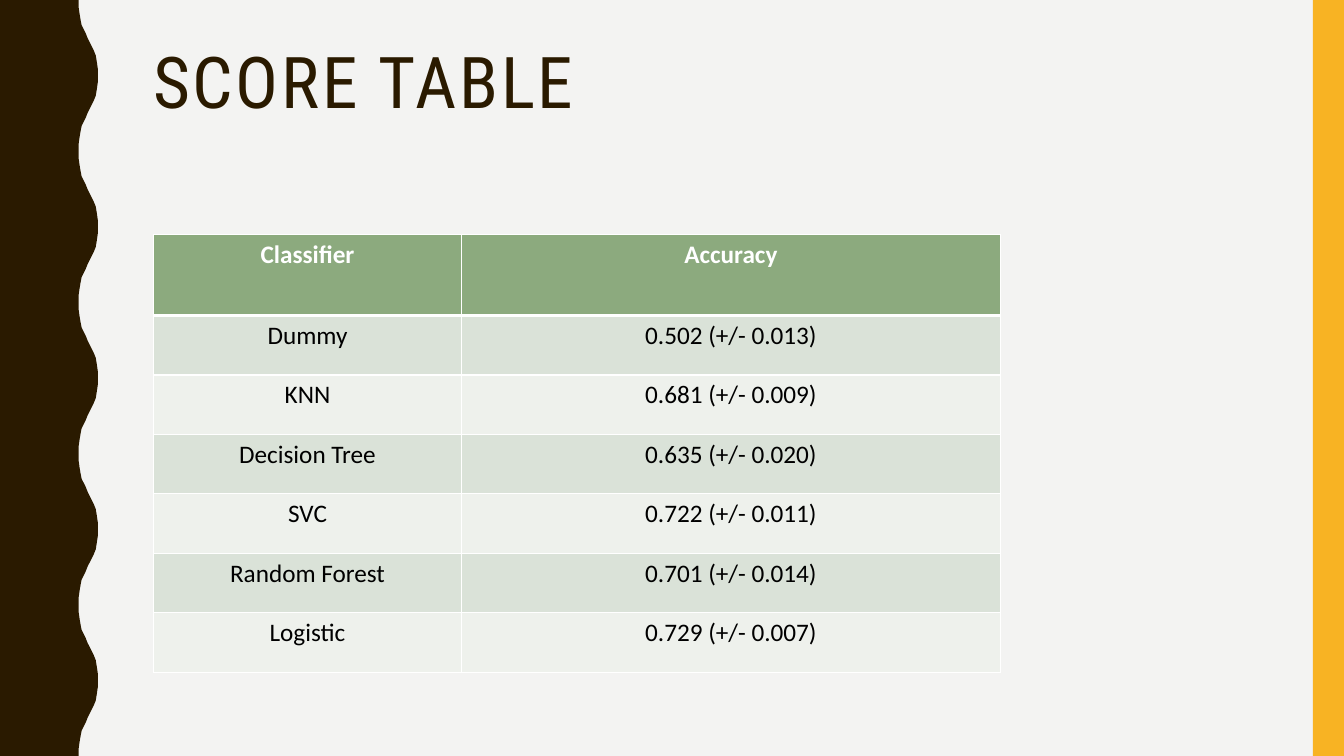
from dataclasses import dataclass

import pptx
import pptx.dml.color
import pptx.enum.shapes
import pptx.enum.text
import pptx.oxml
import pptx.oxml.ns
import pptx.shapes.autoshape
import pptx.slide
import pptx.table
import pptx.text.text
import pptx.util

Inches = pptx.util.Inches
RGBColor = pptx.dml.color.RGBColor
Align = pptx.enum.text.PP_ALIGN

PAPER = RGBColor(0xF3, 0xF3, 0xF2)
BROWN = RGBColor(0x2A, 0x1A, 0x00)
GOLD = RGBColor(0xF8, 0xB3, 0x23)
GREEN = RGBColor(0x8C, 0xAA, 0x7E)
SAGE = RGBColor(0xDA, 0xE2, 0xD8)
PALE = RGBColor(0xEE, 0xF1, 0xEC)
WHITE = RGBColor(0xFF, 0xFF, 0xFF)
BLACK = RGBColor(0x00, 0x00, 0x00)

WIDTH, HEIGHT = 13.33, 7.5
HALF = 0.75  # half a wave, from trough to crest
RISE = [
    (0.78, 0), (0.78, 0.07), (0.79, 0.14), (0.8, 0.2), (0.81, 0.25),
    (0.83, 0.29), (0.85, 0.33), (0.87, 0.38), (0.89, 0.42), (0.91, 0.46),
    (0.93, 0.5), (0.95, 0.55), (0.96, 0.61), (0.97, 0.68), (0.97, 0.75),
]


@dataclass
class Score:
    name: str
    value: str


HEAD = Score("Classifier", "Accuracy")
SCORES = [
    Score("Dummy", "0.502 (+/- 0.013)"),
    Score("KNN", "0.681 (+/- 0.009)"),
    Score("Decision Tree", "0.635 (+/- 0.020)"),
    Score("SVC", "0.722 (+/- 0.011)"),
    Score("Random Forest", "0.701 (+/- 0.014)"),
    Score("Logistic", "0.729 (+/- 0.007)"),
]


def write(frame: pptx.text.text.TextFrame, text: str, *, font: str, size: float,
          color: RGBColor, bold: bool = False, align: Align = Align.LEFT,
          line: float = 1.0, track: float = 0) -> None:
    frame.word_wrap = True
    para = frame.paragraphs[0]
    para.alignment = align
    para.line_spacing = line
    run = para.add_run()
    run.text = text
    run.font.name = font
    run.font.size = pptx.util.Pt(size)
    run.font.bold = bold
    run.font.color.rgb = color
    if track:
        run.font._element.set("spc", str(round(track * 100)))


def paint(shape: pptx.shapes.autoshape.Shape, color: RGBColor) -> None:
    shape.shadow.inherit = False
    shape.fill.solid()
    shape.fill.fore_color.rgb = color
    shape.line.fill.background()


def edge(cell: pptx.table._Cell, top: float, base: float) -> None:
    """Give a cell white borders, with top and base widths in points."""
    props = cell._tc.get_or_add_tcPr()
    sides = {"lnL": 1, "lnR": 1, "lnT": top, "lnB": base}
    for place, (tag, width) in enumerate(sides.items()):
        props.insert(place, pptx.oxml.parse_xml(
            f'<a:{tag} {pptx.oxml.ns.nsdecls("a")} w="{pptx.util.Pt(width)}">'
            f'<a:solidFill><a:srgbClr val="{WHITE}"/></a:solidFill></a:{tag}>'))


def draw_wave(slide: pptx.slide.Slide) -> None:
    fall = [(x, 2 * HALF - y) for x, y in reversed(RISE)]
    wave = [(x, y + 2 * HALF * turn)
            for turn in range(round(HEIGHT / (2 * HALF)))
            for x, y in RISE + fall[1:]]
    points = [(Inches(x), Inches(y)) for x, y in wave + [(0, HEIGHT)]]
    pen = slide.shapes.build_freeform(0, 0)
    pen.add_line_segments(points, close=True)
    paint(pen.convert_to_shape(), BROWN)


def draw_table(slide: pptx.slide.Slide) -> None:
    rows = [HEAD, *SCORES]
    grid = slide.shapes.add_table(
        len(rows), 2, Inches(1.52), Inches(2.33), Inches(8.4), Inches(4.34)).table
    for col, width in zip(grid.columns, (3.06, 5.34)):
        col.width = Inches(width)
    for i, score in enumerate(rows):
        first = i == 0
        grid.rows[i].height = Inches(0.8 if first else 0.59)
        for j, text in enumerate((score.name, score.value)):
            cell = grid.cell(i, j)
            cell.fill.solid()
            cell.fill.fore_color.rgb = GREEN if first else SAGE if i % 2 else PALE
            edge(cell, top=3 if i == 1 else 1, base=3 if first else 1)
            write(cell.text_frame, text, font="Calibri", size=18, bold=first,
                  color=WHITE if first else BLACK, align=Align.CENTER)


def main() -> None:
    deck = pptx.Presentation()
    deck.slide_width, deck.slide_height = Inches(WIDTH), Inches(HEIGHT)
    slide = deck.slides.add_slide(deck.slide_layouts[6])
    slide.background.fill.solid()
    slide.background.fill.fore_color.rgb = PAPER

    draw_wave(slide)
    band = slide.shapes.add_shape(
        pptx.enum.shapes.MSO_SHAPE.RECTANGLE,
        Inches(13.02), 0, Inches(0.31), Inches(HEIGHT))
    paint(band, GOLD)
    title = slide.shapes.add_textbox(
        Inches(1.42), Inches(0.42), Inches(11.13), Inches(1.63))
    write(title.text_frame, "SCORE TABLE", font="Roboto Condensed", size=51,
          color=BROWN, line=0.9, track=2)
    draw_table(slide)
    deck.save("out.pptx")


if __name__ == "__main__":
    main()
